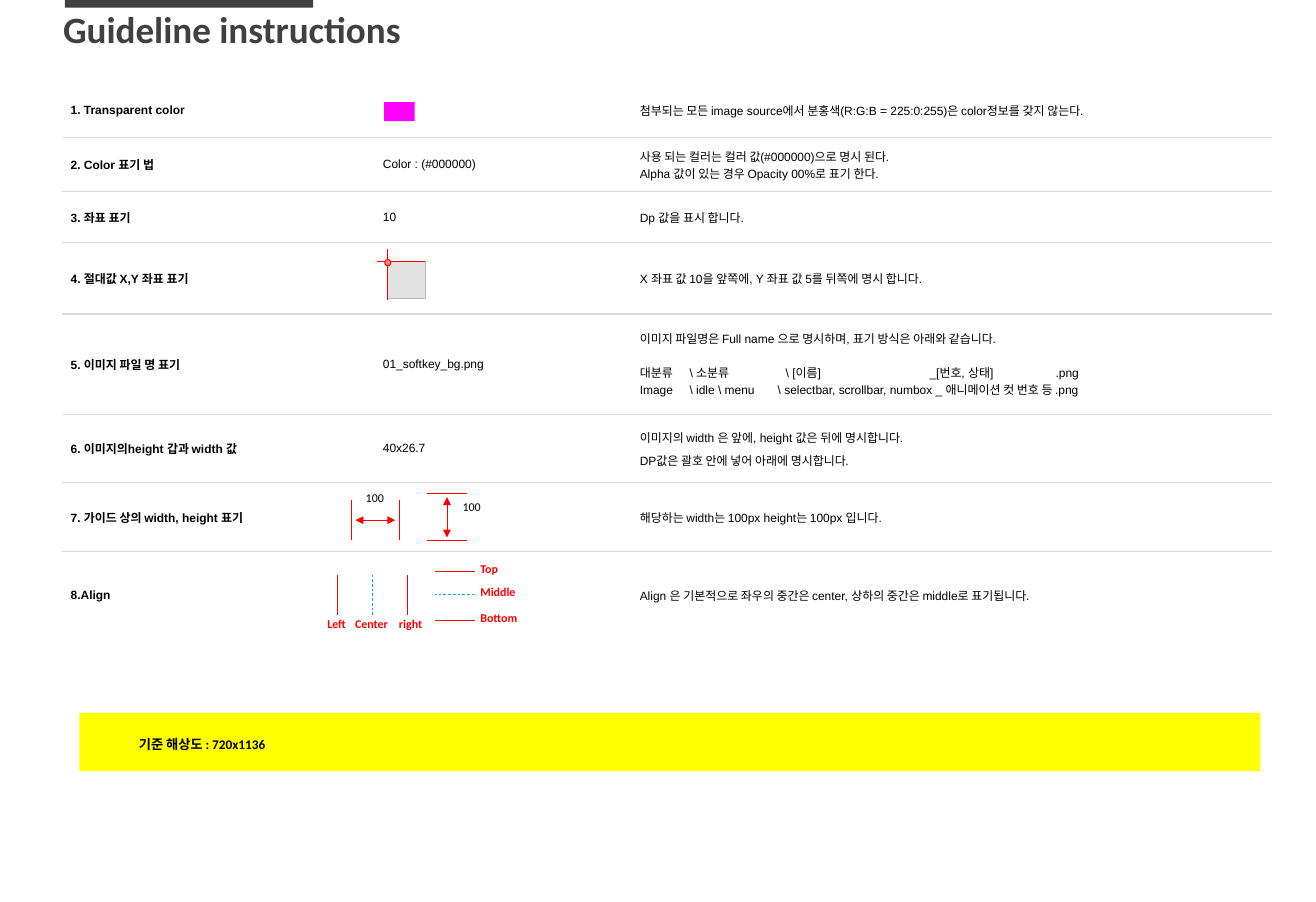
from lxml.etree import SubElement
from pptx import Presentation
from pptx.dml.color import RGBColor
from pptx.enum.dml import MSO_LINE
from pptx.enum.shapes import MSO_CONNECTOR, MSO_SHAPE
from pptx.enum.text import MSO_ANCHOR, PP_ALIGN
from pptx.oxml import parse_xml
from pptx.oxml.ns import nsdecls, qn
from pptx.util import Pt

RED, BLUE, BLACK, DARK = "FF0000", "00B0F0", "000000", "404040"
RULE, WHITE = "D9D9D9", "FFFFFF"
TITLE = "Guideline instructions"
FOOTER = "기준 해상도 : 720x1136"
ROWS = [
    (40.3, "1. Transparent color", "",
     ["첨부되는 모든 image source에서 분홍색(R:G:B = 225:0:255)은 color정보를 갖지 않는다."]),
    (41, "2. Color 표기 법", "Color : (#000000)",
     ["사용 되는 컬러는 컬러 값(#000000)으로 명시 된다.",
      "Alpha 값이 있는 경우 Opacity 00%로 표기 한다."]),
    (38.2, "3. 좌표 표기", "10", ["Dp 값을 표시 합니다."]),
    (54, "4. 절대값 X,Y 좌표 표기", "",
     ["X 좌표 값 10을 앞쪽에, Y 좌표 값 5를 뒤쪽에 명시 합니다."]),
    (75.6, "5. 이미지 파일 명 표기", "01_softkey_bg.png",
     ["이미지 파일명은 Full name 으로 명시하며, 표기 방식은 아래와 같습니다.",
      "대분류\t\\ 소분류\t\\ [이름]\t_[번호, 상태]\t.png",
      "Image\t\\ idle \\ menu\t\\ selectbar, scrollbar, numbox _ 애니메이션 컷 번호 등 .png"]),
    (51.8, "6. 이미지의height 갑과 width 값", "40x26.7",
     ["이미지의 width 은 앞에, height 값은 뒤에 명시합니다.",
      "DP값은 괄호 안에 넣어 아래에 명시합니다."]),
    (51.8, "7. 가이드 상의 width, height 표기", "",
     ["해당하는 width는 100px height는 100px 입니다."]),
    (66.2, "8.Align", "",
     ["Align 은 기본적으로 좌우의 중간은 center, 상하의 중간은 middle로 표기됩니다."]),
]
COLUMNS = [235.4, 193.7, 481.7]
SPACE_BEFORE = {(4, 1): 12, (5, 1): 4.5}
TABS = {(4, 1): [37.5, 110, 218.5, 313.5], (4, 2): [37.5, 104]}
ALIGN_X = [("Left", 254.2, 240.5, 26.6, RED), ("Center", 280.8, 261.4, 37.4, BLUE),
           ("right", 307.4, 294.5, 30.2, RED)]
ALIGN_Y = [("Top", 431.3, RED), ("Middle", 448.6, BLUE), ("Bottom", 468, RED)]


def color(value):
    return RGBColor.from_string(value)


def add_box(shapes, kind, x, y, w, h, fill, line=None):
    s = shapes.add_shape(kind, Pt(x), Pt(y), Pt(w), Pt(h))
    s.shadow.inherit = False
    s.fill.solid()
    s.fill.fore_color.rgb = color(fill)
    if line:
        s.line.color.rgb = color(line)
        s.line.width = Pt(0.75)
    else:
        s.line.fill.background()


def add_line(shapes, x1, y1, x2, y2, stroke=RED, width=0.5, arrows=False):
    s = shapes.add_connector(MSO_CONNECTOR.STRAIGHT, Pt(x1), Pt(y1), Pt(x2), Pt(y2))
    s.line.color.rgb = color(stroke)
    s.line.width = Pt(width)
    if stroke == BLUE:
        s.line.dash_style = MSO_LINE.DASH
    if arrows:
        ln = s.line._get_or_add_ln()
        for end in ("a:headEnd", "a:tailEnd"):
            SubElement(ln, qn(end), type="triangle")
    SubElement(s._element.spPr, qn("a:effectLst"))


def set_font(p, size, name, fill, bold=False):
    f = p.font
    f.size, f.name, f.bold = Pt(size), name, bold
    f.color.rgb = color(fill)


def set_margins(tf, x, y):
    tf.margin_left = tf.margin_right = Pt(x)
    tf.margin_top = tf.margin_bottom = Pt(y)


def add_label(shapes, text, x, y, w, h, fill=RED, size=9, bold=True,
              align=PP_ALIGN.CENTER, margins=(5.8, 2.9), spacing=0.5):
    tf = shapes.add_textbox(Pt(x), Pt(y), Pt(w), Pt(h)).text_frame
    tf.word_wrap = False
    set_margins(tf, *margins)
    p = tf.paragraphs[0]
    p.text, p.alignment, p.line_spacing = text, align, spacing
    set_font(p, size, "Calibri", fill, bold)


def set_borders(cell, top, bottom):
    tcPr = cell._tc.get_or_add_tcPr()
    sides = zip("LRTB", (WHITE, WHITE, top, bottom))
    for i, (side, value) in enumerate(sides):
        tcPr.insert(i, parse_xml(
            f'<a:ln{side} {nsdecls("a")} w="12700"><a:solidFill>'
            f'<a:srgbClr val="{value}"/></a:solidFill></a:ln{side}>'))


def set_tabs(p, stops):
    tabs = SubElement(p._p.get_or_add_pPr(), qn("a:tabLst"))
    for stop in stops:
        SubElement(tabs, qn("a:tab"), pos=str(Pt(stop)), algn="l")


def fill_cell(cell, lines, row, bold):
    cell.fill.background()
    cell.vertical_anchor = MSO_ANCHOR.MIDDLE
    set_margins(cell, 5.8, 2.9)
    set_borders(cell, RULE if row else WHITE, RULE if row < len(ROWS) - 1 else WHITE)
    tf = cell.text_frame
    for i, line in enumerate(lines):
        p = tf.add_paragraph() if i else tf.paragraphs[0]
        p.text = line
        if i and (row, i) in SPACE_BEFORE:
            p.space_before = Pt(SPACE_BEFORE[row, i])
        if (row, i) in TABS and len(lines) > 2:
            set_tabs(p, TABS[row, i])
        set_font(p, 9, "Arial", BLACK, bold)


prs = Presentation()
prs.slide_width, prs.slide_height = Pt(992.2), Pt(680.4)
slide = prs.slides.add_slide(prs.slide_layouts[5])
shapes = slide.shapes
add_box(shapes, MSO_SHAPE.RECTANGLE, 49, 0, 187.2, 5.8, DARK)

title = shapes.title
title.left, title.top, title.width, title.height = Pt(47.5), Pt(5), Pt(496.8), Pt(101.5)
tf = title.text_frame
tf.word_wrap = False
tf.vertical_anchor = MSO_ANCHOR.TOP
set_margins(tf, 0, 3.6)
p = tf.paragraphs[0]
p.text, p.alignment, p.line_spacing = TITLE, PP_ALIGN.LEFT, 0.9
set_font(p, 28, "Calibri", DARK, True)

table = shapes.add_table(len(ROWS), len(COLUMNS), Pt(47.5), Pt(63.4), Pt(sum(COLUMNS)),
                         Pt(sum(row[0] for row in ROWS))).table
table.first_row = table.horz_banding = False
for column, width in zip(table.columns, COLUMNS):
    column.width = Pt(width)
for i, (height, heading, sample, notes) in enumerate(ROWS):
    table.rows[i].height = Pt(height)
    for j, lines in enumerate(([heading], [sample], notes)):
        fill_cell(table.cell(i, j), lines, i, j == 0)

add_box(shapes, MSO_SHAPE.RECTANGLE, 289.6, 77, 23, 14.4, "FF00FF")

origin = shapes.add_group_shape().shapes
add_box(origin, MSO_SHAPE.RECTANGLE, 292.3, 197.3, 28.3, 28.3, "E2E2E2", "BBBBBB")
add_line(origin, 284.4, 197.3, 320.4, 197.3, width=0.75)
add_line(origin, 292.3, 188, 292.3, 226, width=0.75)
add_box(origin, MSO_SHAPE.OVAL, 290.1, 195.8, 4.6, 4.8, "FF7F7F", RED)

plain = dict(fill=BLACK, bold=False, margins=(7.2, 3.6))
across = shapes.add_group_shape().shapes
for x in (265, 301):
    add_line(across, x, 377.3, x, 407.5)
add_line(across, 298, 392.4, 268, 392.4, arrows=True)
add_label(across, "100", 268.6, 371.5, 28, 13.4, **plain)

down = shapes.add_group_shape().shapes
for y in (372.2, 407.5):
    add_line(down, 352, y, 321.8, y)
add_line(down, 337, 375, 337, 405.4, arrows=True)
add_label(down, "100", 341.6, 378.3, 28, 13.4, **plain)

for text, x, left, width, stroke in ALIGN_X:
    add_line(shapes, x, 433.4, x, 463.7, stroke)
    add_label(shapes, text, left, 467.3, width, 11.5)
for text, y, stroke in ALIGN_Y:
    add_line(shapes, 357.8, y, 327.6, y, stroke)
    add_label(shapes, text, 356.4, y - 5.8, 42, 11.5, align=PP_ALIGN.LEFT)

add_box(shapes, MSO_SHAPE.RECTANGLE, 59.8, 537.8, 890.6, 44, "FFFF00")
add_label(shapes, FOOTER, 97.6, 550.8, 169.2, 17.3, BLACK, 10, align=PP_ALIGN.LEFT,
          margins=(7.2, 3.6), spacing=1.1)
prs.save("out.pptx")
